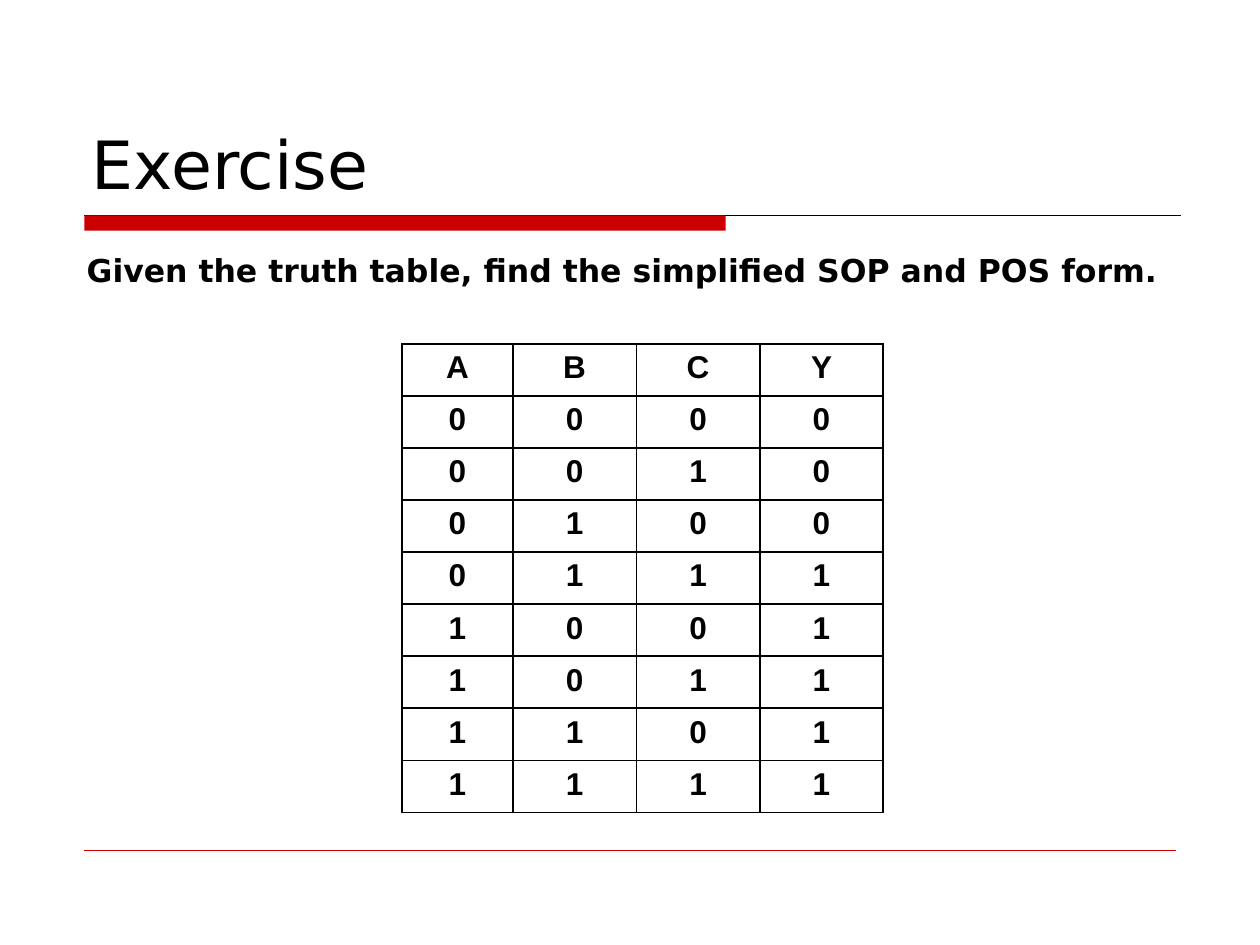
from lxml import etree
from pptx import Presentation, util as u
from pptx.dml.color import RGBColor
from pptx.enum import shapes, text
from pptx.oxml.ns import qn

# Content
TITLE = "Exercise"
TASK = "Given the truth table, find the simplified SOP and POS form."
TRUTH_TABLE = ["ABCY", "0000", "0010", "0100", "0111",
               "1001", "1011", "1101", "1111"]

THEME = {
    "ink": "000000", "accent": "CC0000", "paper": "FFFFFF",
    "text_font": "DejaVu Sans", "table_font": "Arial",
    "title_size": 38, "body_size": 18,
}

# Layout, in inches
LEFT_EDGE = 0.67
RULE_TOP = 1.71
COLUMN_WIDTHS = [0.88, 0.98, 0.98, 0.98]
TABLE_HEIGHT = 3.72


def color(name):
    return RGBColor.from_string(THEME[name])


def add_run(paragraph, content, font, size, bold=False):
    run = paragraph.add_run()
    run.text = content
    run.font.name = THEME[font]
    run.font.size = u.Pt(THEME[size])
    run.font.bold = bold
    run.font.color.rgb = color("ink")


def add_text(slide, box, content, size, anchor, bold=False):
    frame = slide.shapes.add_textbox(*map(u.Inches, box)).text_frame
    frame.word_wrap = True
    frame.vertical_anchor = anchor
    add_run(frame.paragraphs[0], content, "text_font", size, bold)


def add_rule(slide, top, right, ink, width):
    rule = slide.shapes.add_connector(
        shapes.MSO_CONNECTOR.STRAIGHT, u.Inches(LEFT_EDGE), u.Inches(top),
        u.Inches(right), u.Inches(top))
    rule.line.color.rgb = color(ink)
    rule.line.width = u.Pt(width)
    etree.SubElement(rule._element.spPr, qn("a:effectLst"))


def style_cell(cell):
    cell.fill.solid()
    cell.fill.fore_color.rgb = color("paper")
    properties = cell._tc.get_or_add_tcPr()
    # Borders come before the fill in a cell's properties
    for position, side in enumerate("LRTB"):
        border = etree.Element(qn(f"a:ln{side}"), w=str(u.Pt(1)))
        fill = etree.SubElement(border, qn("a:solidFill"))
        etree.SubElement(fill, qn("a:srgbClr"), val=THEME["ink"])
        properties.insert(position, border)


def add_truth_table(slide):
    table = slide.shapes.add_table(
        len(TRUTH_TABLE), len(COLUMN_WIDTHS), u.Inches(3.19), u.Inches(2.73),
        u.Inches(sum(COLUMN_WIDTHS)), u.Inches(TABLE_HEIGHT)).table
    for column, width in zip(table.columns, COLUMN_WIDTHS):
        column.width = u.Inches(width)
    for row, values in zip(table.rows, TRUTH_TABLE):
        row.height = u.Inches(TABLE_HEIGHT / len(TRUTH_TABLE))
        for cell, value in zip(row.cells, values):
            style_cell(cell)
            paragraph = cell.text_frame.paragraphs[0]
            paragraph.alignment = text.PP_ALIGN.CENTER
            add_run(paragraph, value, "table_font", "body_size", bold=True)


def main():
    presentation = Presentation()
    presentation.slide_width = u.Inches(10)
    presentation.slide_height = u.Inches(7.5)
    slide = presentation.slides.add_slide(presentation.slide_layouts[6])

    # Title rule with its thick red bar, and the footer rule
    add_rule(slide, RULE_TOP, 9.37, "ink", 0.5)
    bar = slide.shapes.add_shape(
        shapes.MSO_SHAPE.RECTANGLE, u.Inches(LEFT_EDGE), u.Inches(RULE_TOP),
        u.Inches(5.09), u.Inches(0.12))
    bar.shadow.inherit = False
    bar.fill.solid()
    bar.fill.fore_color.rgb = color("accent")
    bar.line.fill.background()
    add_rule(slide, 6.75, 9.33, "accent", 0.25)

    # Title, truth table and task
    add_text(slide, (0.63, 0.33, 8.75, 1.33), TITLE, "title_size",
             text.MSO_ANCHOR.BOTTOM)
    add_truth_table(slide)
    add_text(slide, (0.59, 1.94, 8.86, 0.7), TASK, "body_size",
             text.MSO_ANCHOR.TOP, bold=True)

    presentation.save("out.pptx")


if __name__ == "__main__":
    main()
